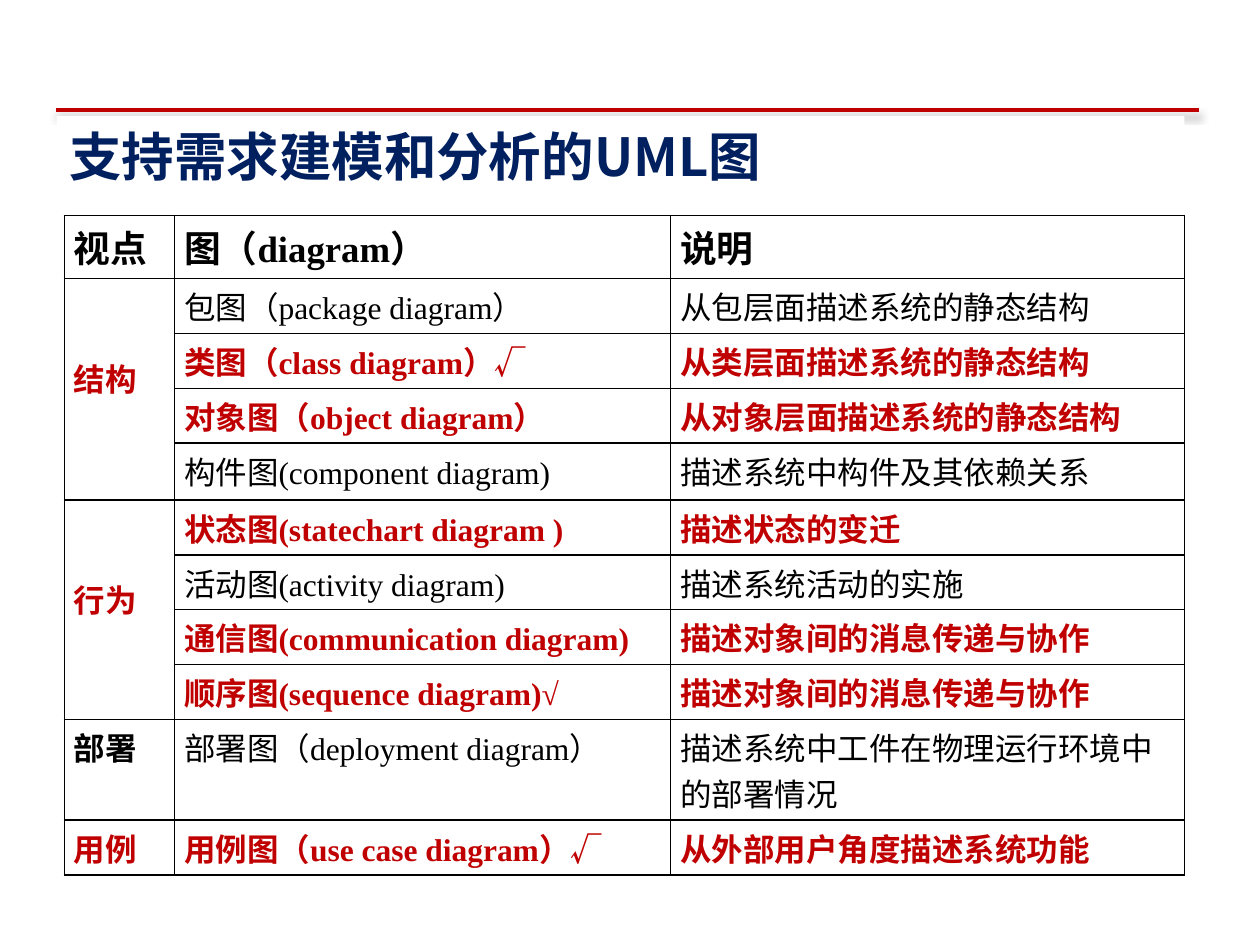
from lxml import etree
from pptx import Presentation
from pptx.dml.color import RGBColor
from pptx.enum import shapes, text
from pptx.oxml import parse_xml
from pptx.oxml.ns import nsdecls, qn
from pptx.util import Pt

BLACK, RED, NAVY, WHITE = "000000", "C00000", "002060", "FFFFFF"
CJK, LATIN = "Noto Sans CJK SC", "Times New Roman"

HEADER = ("视点", "图（diagram）", "说明")
VIEWS = [
    ("结构", True, [
        ("包图（package diagram）", "从包层面描述系统的静态结构", False),
        ("类图（class diagram）√", "从类层面描述系统的静态结构", True),
        ("对象图（object diagram）", "从对象层面描述系统的静态结构", True),
        ("构件图(component diagram)", "描述系统中构件及其依赖关系", False),
    ]),
    ("行为", True, [
        ("状态图(statechart diagram )", "描述状态的变迁", True),
        ("活动图(activity diagram)", "描述系统活动的实施", False),
        ("通信图(communication diagram)", "描述对象间的消息传递与协作", True),
        ("顺序图(sequence diagram)√", "描述对象间的消息传递与协作", True),
    ]),
    ("部署", False, [
        ("部署图（deployment diagram）", "描述系统中工件在物理运行环境中的部署情况", False),
    ]),
    ("用例", True, [
        ("用例图（use case diagram）√", "从外部用户角度描述系统功能", True),
    ]),
]
COLUMNS = (63, 283.5, 293.5)
ROWS = [36, *[31.4] * 3, 32.4, *[31.4] * 4, 57.4, 31.4]


def rgb(value):
    return RGBColor.from_string(value)


class Deck:
    def __init__(self, slide):
        self.slide = slide

    def put_text(self, tf, content, size, color, bold, font):
        p = tf.paragraphs[0]
        p.text = content
        f = p.font
        f.size, f.bold, f.name = Pt(size), bold, font
        f.color.rgb = rgb(color)
        latin = p._p.pPr.find(qn("a:defRPr")).find(qn("a:latin"))
        ea = etree.Element(qn("a:ea"), typeface=CJK)
        latin.addnext(ea)

    def rule(self, x1, x2, y, color, width):
        sp = self.slide.shapes.add_connector(
            shapes.MSO_CONNECTOR.STRAIGHT, Pt(x1), Pt(y), Pt(x2), Pt(y))
        sp.line.color.rgb = rgb(color)
        sp.line.width = Pt(width)
        sp._element.spPr.append(parse_xml(
            f'<a:effectLst {nsdecls("a")}>'
            f'<a:outerShdw blurRad="{Pt(4)}" dist="{Pt(3)}" dir="5400000" rotWithShape="0">'
            f'<a:srgbClr val="{BLACK}"><a:alpha val="40000"/></a:srgbClr>'
            '</a:outerShdw></a:effectLst>'))

    def title(self, content, x, y, w, h):
        sp = self.slide.shapes.add_textbox(Pt(x), Pt(y), Pt(w), Pt(h))
        sp.fill.solid()
        sp.fill.fore_color.rgb = rgb(WHITE)
        tf = sp.text_frame
        tf.word_wrap = True
        tf.vertical_anchor = text.MSO_ANCHOR.BOTTOM
        self.put_text(tf, content, 30, NAVY, True, CJK)

    def table(self, x, y, columns, rows):
        table = self.slide.shapes.add_table(
            len(rows), len(columns), Pt(x), Pt(y), Pt(sum(columns)), Pt(sum(rows))).table
        table.first_row = table.horz_banding = False
        for column, width in zip(table.columns, columns):
            column.width = Pt(width)
        for row, height in zip(table.rows, rows):
            row.height = Pt(height)
        for cell in table.iter_cells():
            self.frame(cell)
        return table

    def frame(self, cell):
        cell.margin_left = cell.margin_right = Pt(5.4)
        cell.margin_top = cell.margin_bottom = Pt(2.7)
        tcPr = cell._tc.get_or_add_tcPr()
        for side in ("lnL", "lnR", "lnT", "lnB"):
            tcPr.append(parse_xml(
                f'<a:{side} {nsdecls("a")} w="{Pt(1)}"><a:solidFill>'
                f'<a:srgbClr val="{BLACK}"/></a:solidFill></a:{side}>'))
        cell.fill.solid()
        cell.fill.fore_color.rgb = rgb(WHITE)

    def cell(self, cell, content, size=18, color=BLACK, bold=False):
        self.put_text(cell.text_frame, content, size, color, bold, LATIN)


def main():
    prs = Presentation()
    prs.slide_width, prs.slide_height = Pt(720), Pt(540)
    deck = Deck(prs.slides.add_slide(prs.slide_layouts[6]))

    deck.rule(32, 685.4, 63, RED, 2.25)
    deck.title("支持需求建模和分析的UML图", 32.4, 66.2, 644.4, 44)

    table = deck.table(36.8, 123.1, COLUMNS, ROWS)
    for col, label in enumerate(HEADER):
        deck.cell(table.cell(0, col), label, size=21, bold=True)
    row = 1
    for view, key_view, diagrams in VIEWS:
        head = table.cell(row, 0)
        if len(diagrams) > 1:
            head.merge(table.cell(row + len(diagrams) - 1, 0))
            head.vertical_anchor = text.MSO_ANCHOR.MIDDLE
            head.margin_bottom = Pt(15.3)
        deck.cell(head, view, color=RED if key_view else BLACK, bold=True)
        for name, purpose, key in diagrams:
            for col, content in enumerate((name, purpose), 1):
                deck.cell(table.cell(row, col), content, color=RED if key else BLACK, bold=key)
            row += 1

    prs.save("out.pptx")


if __name__ == "__main__":
    main()
